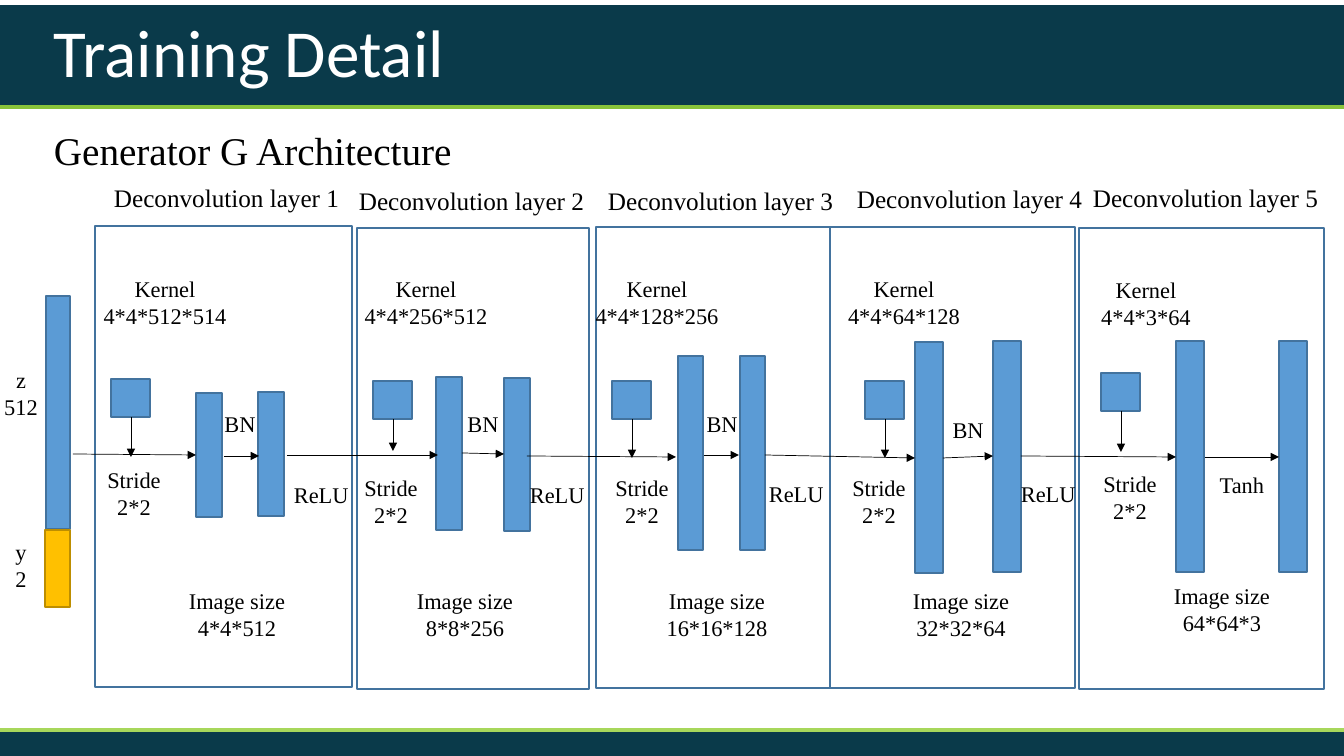
from collections import namedtuple
from dataclasses import dataclass

from lxml import etree
from pptx import Presentation
from pptx import util as u
from pptx.dml.color import RGBColor
from pptx.enum import shapes, text
from pptx.oxml.ns import qn

SCALE = 914400 / 100.8
WIDTH, HEIGHT = 1344, 756


def px(length):
    return u.Emu(round(length * SCALE))


@dataclass(frozen=True)
class Theme:
    band: str = "0A3A4A"
    header_rule: str = "88C33A"
    footer_rule: str = "A7D75B"
    block: str = "5B9BD5"
    block_edge: str = "43739E"
    label: str = "FFC000"
    label_edge: str = "BD8E00"
    ink: str = "000000"
    white: str = "FFFFFF"
    heading_font: str = "Calibri"
    body_font: str = "Times New Roman"
    heading: int = 48
    subheading: int = 28
    layer: int = 18
    body: int = 16
    rule: float = 2.5
    edge: float = 1
    arrow: float = 0.5


class Canvas:
    def __init__(self, slide, theme):
        self.slide = slide
        self.theme = theme

    def rectangle(self, x, y, width, height, fill=None, edge=None):
        shape = self.slide.shapes.add_shape(
            shapes.MSO_SHAPE.RECTANGLE, px(x), px(y), px(width), px(height))
        shape.shadow.inherit = False
        if fill:
            shape.fill.solid()
            shape.fill.fore_color.rgb = RGBColor.from_string(fill)
        else:
            shape.fill.background()
        if edge:
            shape.line.color.rgb = RGBColor.from_string(edge)
            shape.line.width = u.Pt(self.theme.edge)
        else:
            shape.line.fill.background()

    def block(self, x, y, width, height):
        self.rectangle(x, y, width, height, self.theme.block, self.theme.block_edge)

    def line(self, x1, y1, x2, y2, color, weight):
        connector = self.slide.shapes.add_connector(
            shapes.MSO_CONNECTOR.STRAIGHT, px(x1), px(y1), px(x2), px(y2))
        connector.line.color.rgb = RGBColor.from_string(color)
        connector.line.width = u.Pt(weight)
        etree.SubElement(connector.element.spPr, qn("a:effectLst"))
        return connector

    def arrow(self, x1, y1, x2, y2):
        connector = self.line(x1, y1, x2, y2, self.theme.ink, self.theme.arrow)
        outline = connector.element.spPr.find(qn("a:ln"))
        etree.SubElement(outline, qn("a:tailEnd"), type="triangle")

    def label(self, words, x, y, width, height, size=None, font=None,
              color=None, centred=False, wrap=False):
        shape = self.slide.shapes.add_textbox(px(x), px(y), px(width), px(height))
        frame = shape.text_frame
        frame.word_wrap = wrap
        frame.auto_size = text.MSO_AUTO_SIZE.SHAPE_TO_FIT_TEXT
        frame.text = words
        for paragraph in frame.paragraphs:
            paragraph.alignment = text.PP_ALIGN.CENTER if centred else text.PP_ALIGN.LEFT
            style = paragraph.runs[0].font
            style.name = font or self.theme.body_font
            style.size = u.Pt(size or self.theme.body)
            style.color.rgb = RGBColor.from_string(color or self.theme.ink)

    def caption(self, words, centre, y, width):
        height = 65 if "\n" in words else 37
        self.label(words, centre - width / 2, y, width, height, centred=True)


Layer = namedtuple(
    "Layer", "frame title square tip kernel stride bars bar_size step relu image")

LAYERS = [
    Layer((95, 226, 257), (104, 177), (111, 379), 457, ("4*4*512*514", 165, 270),
          (134, 461), [(196, 393), (258, 392)], (26, 124), ("BN", 240, 405),
          (284, 476), ("4*4*512", 237, 582)),
    Layer((357, 228, 232), (349, 180), (373, 381), 451, ("4*4*256*512", 426, 270),
          (391, 469), [(436, 377), (504, 378)], (26, 153), ("BN", 483, 405),
          (520, 476), ("8*8*256", 465, 582)),
    Layer((596, 227, 234), (598, 180), (612, 381), 458, ("4*4*128*256", 657, 270),
          (642, 469), [(678, 356), (740, 356)], (25, 194), ("BN", 722, 405),
          (759, 475), ("16*16*128", 717, 582)),
    Layer((830, 227, 245), (847, 178), (865, 381), 458, ("4*4*64*128", 904, 270),
          (879, 469), [(915, 342), (993, 341)], (28, 231), ("BN", 968, 411),
          (1011, 475), ("32*32*64", 961, 582)),
    Layer((1079, 228, 245), (1083, 177), (1101, 373), 452, ("4*4*3*64", 1146, 271),
          (1130, 465), [(1176, 341), (1279, 341)], (28, 231), ("Tanh", 1242, 466),
          None, ("64*64*3", 1222, 577)),
]

FLOW = [
    (73, 454, 196, 455), (224, 456, 259, 456), (287, 455, 438, 455),
    (462, 453, 504, 454), (527, 456, 676, 457), (704, 455, 739, 455),
    (765, 455, 915, 458), (943, 458, 993, 456), (1021, 456, 1176, 457),
    (1205, 457, 1279, 457),
]


def draw_bands(canvas):
    theme = canvas.theme
    canvas.rectangle(0, 5, WIDTH, 101, theme.band)
    canvas.line(0, 107, WIDTH, 107, theme.header_rule, theme.rule)
    canvas.rectangle(0, 732, WIDTH, HEIGHT - 732, theme.band)
    canvas.line(0, 730, WIDTH, 730, theme.footer_rule, theme.rule)
    canvas.label("Training Detail", 44, 5, 834, 92, size=theme.heading,
                 font=theme.heading_font, color=theme.white, wrap=True)
    canvas.label("Generator G Architecture", 44, 121, 422, 57, size=theme.subheading)


def draw_input(canvas):
    canvas.block(46, 296, 24, 233)
    canvas.rectangle(45, 530, 25, 77, canvas.theme.label, canvas.theme.label_edge)
    canvas.caption("z\n512", 21, 361, 54)
    canvas.caption("y\n2", 21, 533, 31)


def draw_layer(canvas, number, layer):
    canvas.rectangle(*layer.frame, 461, edge=canvas.theme.block_edge)
    canvas.label(f"Deconvolution layer {number}", *layer.title, 248, 40,
                 size=canvas.theme.layer)
    x, y = layer.square
    canvas.block(x, y, 39, 38)
    canvas.arrow(x + 20, y + 38, x + 20, layer.tip)
    for bar in layer.bars:
        canvas.block(*bar, *layer.bar_size)
    kernel, *kernel_place = layer.kernel
    canvas.caption(f"Kernel\n{kernel}", *kernel_place, 145)
    canvas.caption("Stride\n2*2", *layer.stride, 75)
    step, *step_place = layer.step
    canvas.caption(step, *step_place, 65 if step == "Tanh" else 51)
    if layer.relu:
        canvas.label("ReLU", *layer.relu, 76, 37)
    image, *image_place = layer.image
    canvas.caption(f"Image size\n{image}", *image_place, 122)


presentation = Presentation()
presentation.slide_width = px(WIDTH)
presentation.slide_height = px(HEIGHT)
canvas = Canvas(presentation.slides.add_slide(presentation.slide_layouts[6]), Theme())

draw_bands(canvas)
draw_input(canvas)
for number, layer in enumerate(LAYERS, 1):
    draw_layer(canvas, number, layer)
for segment in FLOW:
    canvas.arrow(*segment)

presentation.save("out.pptx")
